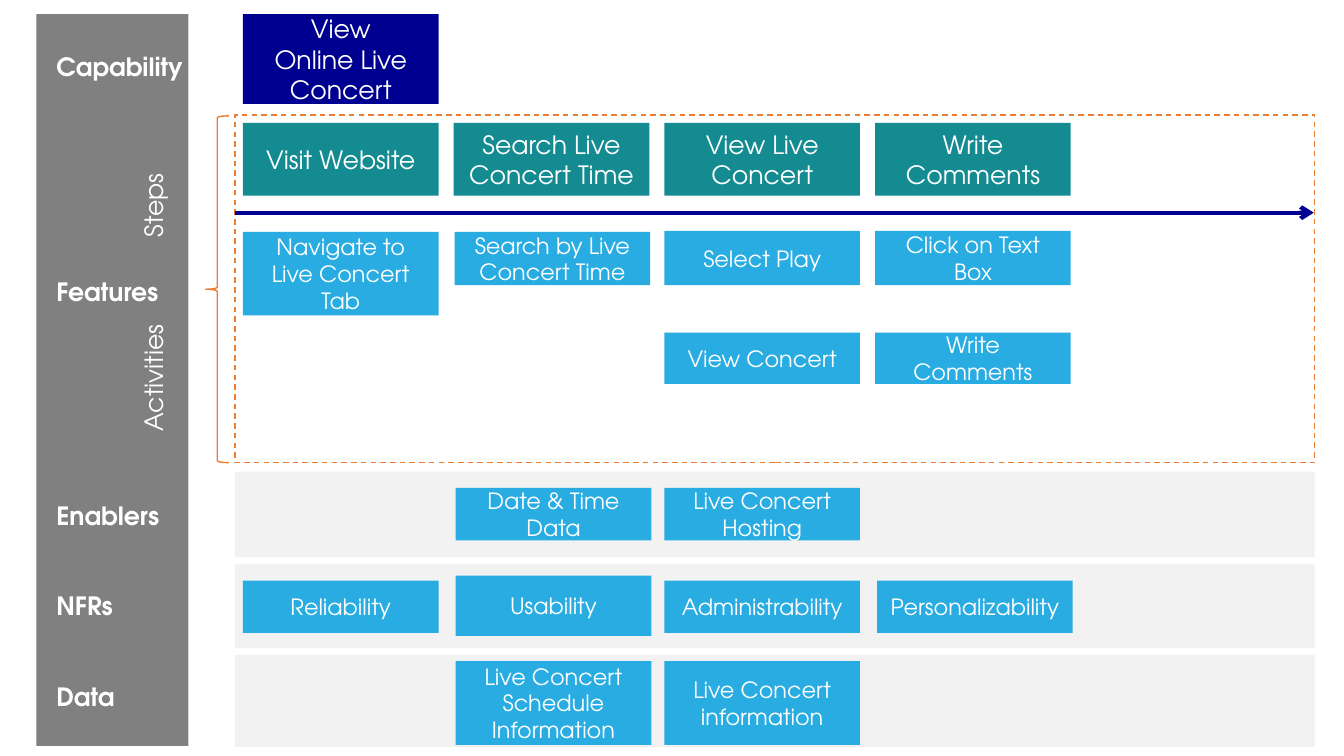
from dataclasses import dataclass

from lxml import etree
from pptx import Presentation
from pptx.dml.color import RGBColor
from pptx.enum.dml import MSO_LINE
from pptx.enum.shapes import MSO_CONNECTOR, MSO_SHAPE
from pptx.enum.text import MSO_ANCHOR, MSO_AUTO_SIZE, PP_ALIGN
from pptx.oxml.ns import qn
from pptx.util import Inches, Pt

RECTANGLE, LEFT_BRACE = MSO_SHAPE.RECTANGLE, MSO_SHAPE.LEFT_BRACE
STRAIGHT, DASH = MSO_CONNECTOR.STRAIGHT, MSO_LINE.DASH
LEFT, CENTER = PP_ALIGN.LEFT, PP_ALIGN.CENTER
TOP, MIDDLE = MSO_ANCHOR.TOP, MSO_ANCHOR.MIDDLE
TITLE_ONLY = 5


@dataclass(frozen=True)
class Theme:
    font: str = "TeX Gyre Adventor"
    large: int = 18
    small: int = 16
    text: str = "FFFFFF"
    sidebar: str = "808080"
    capability: str = "000090"
    step: str = "138B91"
    activity: str = "28ACE2"
    band: str = "F2F2F2"
    frame: str = "ED7D31"


@dataclass(frozen=True)
class Area:
    left: float
    top: float
    width: float
    height: float

    def lengths(self) -> tuple:
        return tuple(map(Inches, (self.left, self.top, self.width, self.height)))


@dataclass(frozen=True)
class Card:
    text: str
    column: int
    top: float
    height: float
    nudge: float = 0

    def area(self) -> Area:
        left = FIRST_COLUMN + self.column * COLUMN_STEP + self.nudge
        return Area(left, self.top, CARD_WIDTH, self.height)


@dataclass(frozen=True)
class Label:
    text: str
    area: Area
    upright: bool = False


THEME = Theme()
FIRST_COLUMN, COLUMN_STEP, CARD_WIDTH = 2.41, 2.09, 1.94
LANE_LEFT, LANE_WIDTH = 2.33, 10.71

CAPABILITY = Card("View\nOnline Live Concert", 0, 0.14, 0.89)
STEPS = ["Visit Website", "Search Live Concert Time", "View Live Concert", "Write Comments"]
CARDS = [
    # Activities
    Card("Navigate to Live Concert Tab", 0, 2.3, 0.83),
    Card("Search by Live Concert Time", 1, 2.3, 0.53, 0.01),
    Card("Select Play", 2, 2.29, 0.54),
    Card("Click on Text Box", 3, 2.29, 0.54),
    Card("View Concert", 2, 3.3, 0.51),
    Card("Write Comments", 3, 3.3, 0.51),
    # Enablers
    Card("Date & Time Data", 1, 4.84, 0.52, 0.02),
    Card("Live Concert Hosting", 2, 4.84, 0.52),
    # NFRs
    Card("Reliability", 0, 5.76, 0.52),
    Card("Usability", 1, 5.71, 0.6, 0.02),
    Card("Administrability", 2, 5.76, 0.52),
    Card("Personalizability", 3, 5.76, 0.52, 0.02),
    # Data
    Card("Live Concert Schedule Information", 1, 6.56, 0.83, 0.02),
    Card("Live Concert information", 2, 6.56, 0.83),
]
BANDS = [(4.68, 0.85), (5.6, 0.83), (6.5, 0.91)]
ROW_LABELS = [("Capability", 0.46), ("Features", 2.69), ("Enablers", 4.91),
              ("NFRs", 5.81), ("Data", 6.71)]
LABELS = [Label(text, Area(0.46, top, 1.49, 0.4)) for text, top in ROW_LABELS] + [
    Label("Steps", Area(0.96, 1.84, 1.12, 0.4), upright=True),
    Label("Activities", Area(0.88, 3.55, 1.28, 0.4), upright=True),
]


def color(value: str) -> RGBColor:
    return RGBColor.from_string(value)


def write(shape, text: str, size: int, align=CENTER, anchor=MIDDLE, bold: bool = False) -> None:
    frame = shape.text_frame
    frame.text = text
    frame.word_wrap = True
    frame.auto_size = MSO_AUTO_SIZE.NONE
    frame.vertical_anchor = anchor
    for para in frame.paragraphs:
        para.alignment = align
        for span in para.runs:
            span.font.name = THEME.font
            span.font.size = Pt(size)
            span.font.bold = bold
            span.font.color.rgb = color(THEME.text)


def fill_with(shape, value: str) -> None:
    shape.fill.solid()
    shape.fill.fore_color.rgb = color(value)
    shape.line.fill.background()


def add_block(page, area: Area, value: str):
    block = page.shapes.add_shape(RECTANGLE, *area.lengths())
    block.shadow.inherit = False
    fill_with(block, value)
    return block


def add_outline(page, kind, area: Area):
    outline = page.shapes.add_shape(kind, *area.lengths())
    outline.shadow.inherit = False
    outline.fill.background()
    outline.line.color.rgb = color(THEME.frame)
    outline.line.width = Pt(1)
    return outline


def add_card(page, card: Card, value: str, size: int) -> None:
    write(add_block(page, card.area(), value), card.text, size)


def add_label(page, label: Label) -> None:
    box = page.shapes.add_textbox(*label.area.lengths())
    box.rotation = 270 if label.upright else 0
    write(box, label.text, THEME.large, CENTER if label.upright else LEFT, TOP, not label.upright)


def add_timeline(page, left: float, right: float, top: float) -> None:
    arrow = page.shapes.add_connector(STRAIGHT, Inches(left), Inches(top), Inches(right), Inches(top))
    arrow.line.color.rgb = color(THEME.capability)
    arrow.line.width = Pt(3)
    properties = arrow.element.spPr
    etree.SubElement(properties.find(qn("a:ln")), qn("a:tailEnd"), type="arrow")
    etree.SubElement(properties, qn("a:effectLst"))


def main() -> None:
    deck = Presentation()
    deck.slide_width, deck.slide_height = Inches(13.33), Inches(7.5)
    page = deck.slides.add_slide(deck.slide_layouts[TITLE_ONLY])

    # Capability as the slide title
    title = page.shapes.title
    title.left, title.top, title.width, title.height = CAPABILITY.area().lengths()
    fill_with(title, THEME.capability)
    write(title, CAPABILITY.text, THEME.large)

    # Sidebar and lanes
    add_block(page, Area(0.36, 0.14, 1.51, 7.26), THEME.sidebar)
    for top, height in BANDS:
        add_block(page, Area(LANE_LEFT, top, LANE_WIDTH, height), THEME.band)
    features = add_outline(page, RECTANGLE, Area(LANE_LEFT, 1.14, LANE_WIDTH, 3.45))
    features.line.dash_style = DASH
    add_outline(page, LEFT_BRACE, Area(2.04, 1.15, 0.23, 3.44))

    # Row labels
    for label in LABELS:
        add_label(page, label)

    # Steps, timeline and cards
    for column, step in enumerate(STEPS):
        add_card(page, Card(step, column, 1.22, 0.72), THEME.step, THEME.large)
    add_timeline(page, LANE_LEFT, 13.03, 2.11)
    for card in CARDS:
        add_card(page, card, THEME.activity, THEME.small)

    deck.save("out.pptx")


if __name__ == "__main__":
    main()
